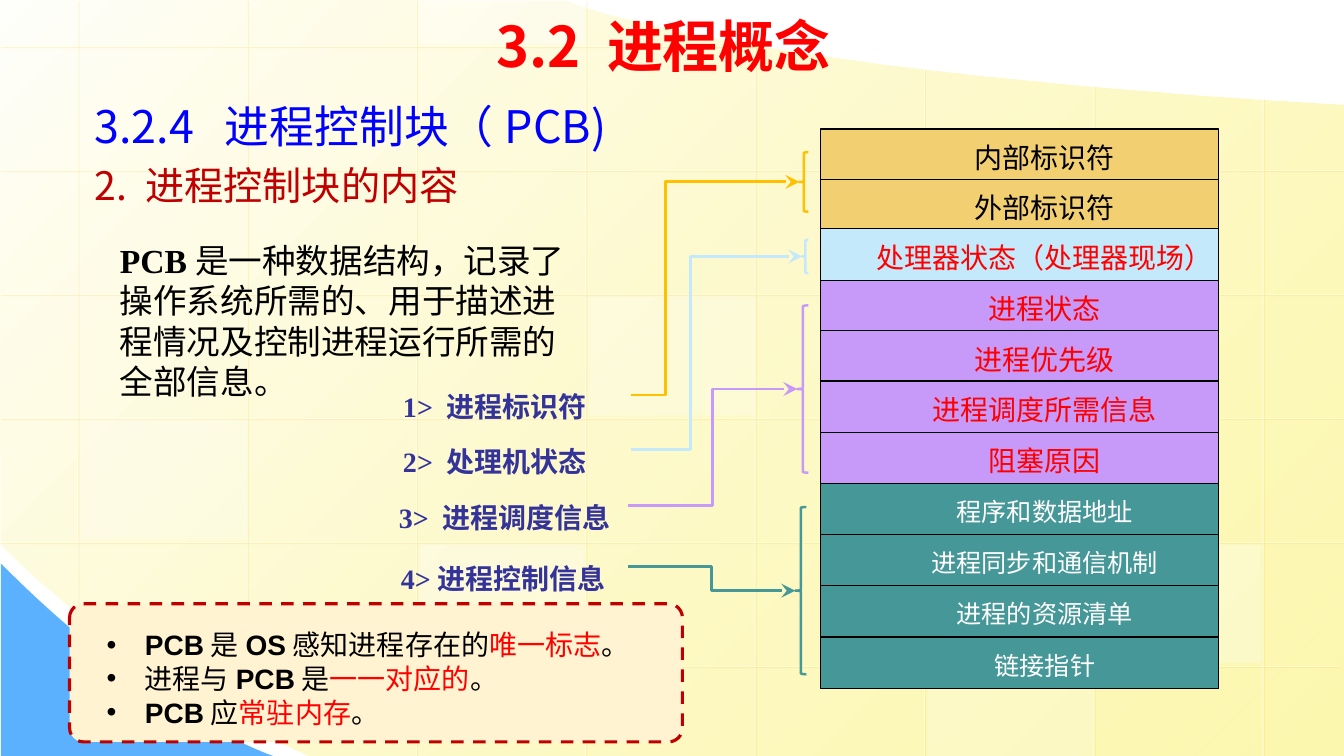
from lxml.etree import SubElement
from pptx import Presentation
from pptx.dml.color import RGBColor
from pptx.enum.dml import MSO_LINE
from pptx.enum.shapes import MSO_CONNECTOR, MSO_SHAPE
from pptx.enum.text import MSO_ANCHOR, MSO_AUTO_SIZE, PP_ALIGN
from pptx.oxml.ns import qn
from pptx.util import Inches, Pt

COLORS = {
    "white": "FFFFFF", "black": "000000", "red": "FF0000", "blue": "0000FF",
    "crimson": "C00000", "navy": "33339A", "cream": "FFF3D1", "sky": "5CB1FE",
    "ivory": "FFFFFB", "lemon": "FDF58D", "gold": "FFCC00", "amber": "FFC000",
    "sand": "F2D072", "ice": "C4E9FB", "violet": "C799F9", "teal": "459798",
}
CJK, SERIF, SANS = "Noto Sans CJK SC", "Times New Roman", "Arial"


def color(name):
    return RGBColor.from_string(COLORS[name])


def add_xml(parent, tag, **attrs):
    return SubElement(parent, qn(tag), {k: str(v) for k, v in attrs.items()})


def set_alpha(element, percent):
    add_xml(list(element.iter(qn("a:srgbClr")))[-1], "a:alpha", val=percent * 1000)


class SlideBuilder:
    def __init__(self, prs):
        self.slide = prs.slides.add_slide(prs.slide_layouts[6])
        self.shapes = self.slide.shapes

    def outline(self, points, curves):
        pts = [(Inches(x), Inches(y)) for x, y in points]
        builder = self.shapes.build_freeform(*pts[0])
        builder.add_line_segments(pts[1:], close=False)
        sp = builder.convert_to_shape()
        sp.shadow.inherit = False
        sp.line.fill.background()
        segments = list(sp._element.iter(qn("a:lnTo")))
        for i, controls in curves.items():
            segments[i].tag = qn("a:cubicBezTo")
            for n, (x, y) in enumerate(controls):
                pt = add_xml(segments[i], "a:pt", x=Inches(x) - sp.left, y=Inches(y) - sp.top)
                segments[i].insert(n, pt)
        add_xml(segments[0].getparent(), "a:close")
        return sp

    def shape(self, kind, box, fill=None, line=None, width=0.75, alpha=None):
        sp = self.shapes.add_shape(kind, *map(Inches, box))
        sp.shadow.inherit = False
        if fill:
            sp.fill.solid()
            sp.fill.fore_color.rgb = color(fill)
            if alpha:
                set_alpha(sp._element.spPr, alpha)
        else:
            sp.fill.background()
        if line:
            sp.line.color.rgb = color(line)
            sp.line.width = Pt(width)
        else:
            sp.line.fill.background()
        return sp

    def connector(self, kind, start, end, line, width):
        cxn = self.shapes.add_connector(kind, *map(Inches, start + end))
        cxn.line.color.rgb = color(line)
        cxn.line.width = Pt(width)
        return cxn, add_xml(cxn._element.spPr, "a:effectLst")

    def grid_line(self, start, end):
        cxn, effects = self.connector(MSO_CONNECTOR.STRAIGHT, start, end, "white", 0.75)
        set_alpha(cxn._element.spPr, 50)
        shadow = add_xml(effects, "a:outerShdw", dist=Pt(1.4), dir=45 * 60000,
                         algn="ctr", rotWithShape=0)
        add_xml(shadow, "a:srgbClr", val=COLORS["gold"])
        set_alpha(effects, 34)

    def bent_arrow(self, start, end, line, bend_x):
        cxn, _ = self.connector(MSO_CONNECTOR.ELBOW, start, end, line, 2)
        add_xml(cxn.line._get_or_add_ln(), "a:tailEnd", type="stealth", w="lg", len="lg")
        guides = cxn._element.spPr.find(qn("a:prstGeom")).find(qn("a:avLst"))
        bend = (bend_x - start[0]) / (end[0] - start[0])
        add_xml(guides, "a:gd", name="adj1", fmla=f"val {round(bend * 100000)}")

    def paragraph(self, p, runs, size, indent=None, bullet=None, **formats):
        for name, value in formats.items():
            setattr(p, name, value)
        pPr = p._p.get_or_add_pPr()
        if indent:
            pPr.set("marL", str(Inches(indent[0])))
            pPr.set("indent", str(Inches(indent[1])))
        if bullet:
            add_xml(pPr, "a:buFont", typeface=SANS)
            add_xml(pPr, "a:buChar", char=bullet)
        for text, font, tint, bold, *spacing in runs:
            r = p.add_run()
            r.text = text
            values = {"size": Pt(size), "name": font, "bold": bold}
            for name, value in values.items():
                setattr(r.font, name, value)
            r.font.color.rgb = color(tint)
            rPr = r._r.get_or_add_rPr()
            add_xml(rPr, "a:ea", typeface=font)
            if spacing:
                rPr.set("spc", str(spacing[0] * 100))

    def text(self, box, paragraphs, anchor=MSO_ANCHOR.TOP):
        tf = self.shapes.add_textbox(*map(Inches, box)).text_frame
        values = {"word_wrap": True, "vertical_anchor": anchor,
                  "auto_size": MSO_AUTO_SIZE.NONE}
        for name, value in values.items():
            setattr(tf, name, value)
        for i, formats in enumerate(paragraphs):
            self.paragraph(tf.add_paragraph() if i else tf.paragraphs[0], **formats)

    def field_row(self, box, text, fill, tint, size):
        tf = self.shape(MSO_SHAPE.RECTANGLE, box, fill, "black").text_frame
        values = {"margin_left": 0, "margin_right": 0, "margin_top": 0,
                  "margin_bottom": 0, "word_wrap": True,
                  "vertical_anchor": MSO_ANCHOR.MIDDLE}
        for name, value in values.items():
            setattr(tf, name, value)
        self.paragraph(tf.paragraphs[0], [(text, CJK, tint, False)], size,
                       (0.81, -0.31), alignment=PP_ALIGN.CENTER, line_spacing=1.15)


def draw_background(s):
    sheet = s.outline(
        [(13.33, 1.04), (13.34, 7.5), (3.07, 7.5), (0, 5.39), (-0.01, -0.01),
         (5.61, 0.01), (13.33, 1.04)],
        {0: [(13.34, 4.27), (13.34, 7.5)], 2: [(1.15, 6.61), (-0.01, 5.39)],
         5: [(5.61, 0.01), (7.15, 0.69)]})
    sheet.fill.gradient()
    sheet.fill.gradient_angle = 315
    for stop, position, tint in zip(sheet.fill.gradient_stops, (0, 1), ("ivory", "lemon")):
        stop.position = position
        stop.color.rgb = color(tint)
    set_alpha(sheet._element.spPr.find(qn("a:gradFill")), 70)

    corner = s.outline([(0.01, 5.59), (0.01, 7.5), (2.71, 7.5), (0.01, 5.59)],
                       {2: [(2.71, 7.5), (1.49, 7.09)]})
    corner.fill.solid()
    corner.fill.fore_color.rgb = color("sky")

    spans = [(0, 6.09), (0, 7.19), (0, 7.5), (0, 7.52), (0.43, 7.52),
             (0.68, 7.52), (0.85, 7.52), (0.98, 7.52)]
    for i, (top, bottom) in enumerate(spans):
        x = 0.77 + 1.68 * i
        s.grid_line((x, top), (x, bottom))
    spans = [(7.57, 0), (13.35, 0), (13.35, 0), (13.35, 0), (13.35, 0), (13.29, 1.48)]
    for i, (right, left) in enumerate(spans):
        y = 0.46 + 1.23 * i
        s.grid_line((right, y), (left, y))
    for *box, alpha in [(5.84, 2.94, 1.65, 1.18, 25), (10.88, 5.4, 1.63, 1.18, 30),
                        (0.8, 4.16, 1.65, 1.18, 20), (9.2, 6.63, 1.65, 0.87, 20),
                        (4.15, 0, 1.65, 0.44, 40), (4.16, 5.4, 1.63, 1.18, 30),
                        (9.19, 1.71, 1.63, 1.18, 30)]:
        s.shape(MSO_SHAPE.RECTANGLE, box, "white", alpha=alpha)


def draw_text(s):
    s.text((4.83, 0.11, 4.24, 0.68),
           [{"runs": [("3.2 进程概念", CJK, "red", True)], "size": 40}], MSO_ANCHOR.MIDDLE)
    section = [("3.2.4", CJK, "blue", False), (" ", CJK, "blue", False, 7),
               ("进程控制块（PCB)", CJK, "blue", False)]
    topic = [("2. 进程控制块的内容", CJK, "crimson", False)]
    s.text((0.84, 0.82, 7.09, 1.31), [
        {"runs": runs, "size": size, "indent": (0.56, -0.56), "line_spacing": 1.2}
        for runs, size in [(section, 32), (topic, 28)]])
    note = s.shape(MSO_SHAPE.ROUNDED_RECTANGLE, (0.69, 5.99, 6.08, 1.37),
                   "cream", "crimson", 2.25)
    note.adjustments[0] = 0.1
    note.line.dash_style = MSO_LINE.DASH
    pcb = ("PCB", SANS, "black", True)
    stop = ("。", CJK, "black", False)
    facts = [
        [pcb, ("是", CJK, "black", False), ("OS", SANS, "black", True),
         ("感知进程存在的", CJK, "black", False), ("唯一标志", CJK, "red", False), stop],
        [("进程与", CJK, "black", False), pcb, ("是", CJK, "black", False),
         ("一一对应的", CJK, "red", False), stop],
        [pcb, ("应", CJK, "black", False), ("常驻内存", CJK, "red", False), stop],
    ]
    s.text((0.96, 6.18, 5.27, 1.11), [
        {"runs": runs, "size": 20, "indent": (0.38, -0.38), "bullet": "•"} for runs in facts])
    s.text((1.09, 2.33, 4.84, 1.72), [{"size": 24, "runs": [
        ("PCB", SERIF, "black", True),
        ("是一种数据结构，记录了操作系统所需的、用于描述进程情况及控制进程运行所需的全部信息。",
         CJK, "black", False)]}])


def draw_pcb(s):
    sections = [
        ("sand", "black", 20, {1.28: "内部标识符", 1.78: "外部标识符"}),
        ("ice", "red", 20, {2.27: "处理器状态（处理器现场）"}),
        ("violet", "red", 20, {2.78: "进程状态", 3.28: "进程优先级",
                               3.78: "进程调度所需信息", 4.29: "阻塞原因"}),
        ("teal", "white", 18, {4.8: "程序和数据地址", 5.3: "进程同步和通信机制",
                               5.81: "进程的资源清单", 6.32: "链接指针"}),
    ]
    for *style, fields in sections:
        for top, text in fields.items():
            s.field_row((8.14, top, 3.95, 0.51), text, *style)

    groups = [
        ("1> ", "进程标识符", (3.9, 3.65), "amber", (7.93, 1.51, 0.09, 0.59), (6.26, 3.92), 6.6),
        ("2> ", "处理机状态", (3.9, 4.19), "ice", (7.96, 2.38, 0.06, 0.33), (6.26, 4.46), 6.85),
        ("3> ", "进程调度信息", (3.86, 4.75), "violet", (7.91, 3.03, 0.11, 1.66), (6.23, 5.02), 7.07),
        ("4>", "进程控制信息", (3.88, 5.35), "teal", (7.89, 5.03, 0.11, 1.66), (6.23, 5.62), 7.06),
    ]
    for number, label, corner, tint, brace, start, bend_x in groups:
        s.shape(MSO_SHAPE.LEFT_BRACE, brace, line=tint, width=1.75)
        s.bent_arrow(start, (brace[0], brace[1] + brace[3] / 2), tint, bend_x)
        s.text((*corner, 2.37, 0.54), [{"size": 20, "line_spacing": 1.5, "runs": [
            (number, SERIF, "navy", True), (label, CJK, "navy", True)]}])


def main():
    prs = Presentation()
    prs.slide_width, prs.slide_height = Inches(40 / 3), Inches(7.5)
    s = SlideBuilder(prs)
    draw_background(s)
    draw_text(s)
    draw_pcb(s)
    prs.save("out.pptx")


if __name__ == "__main__":
    main()
